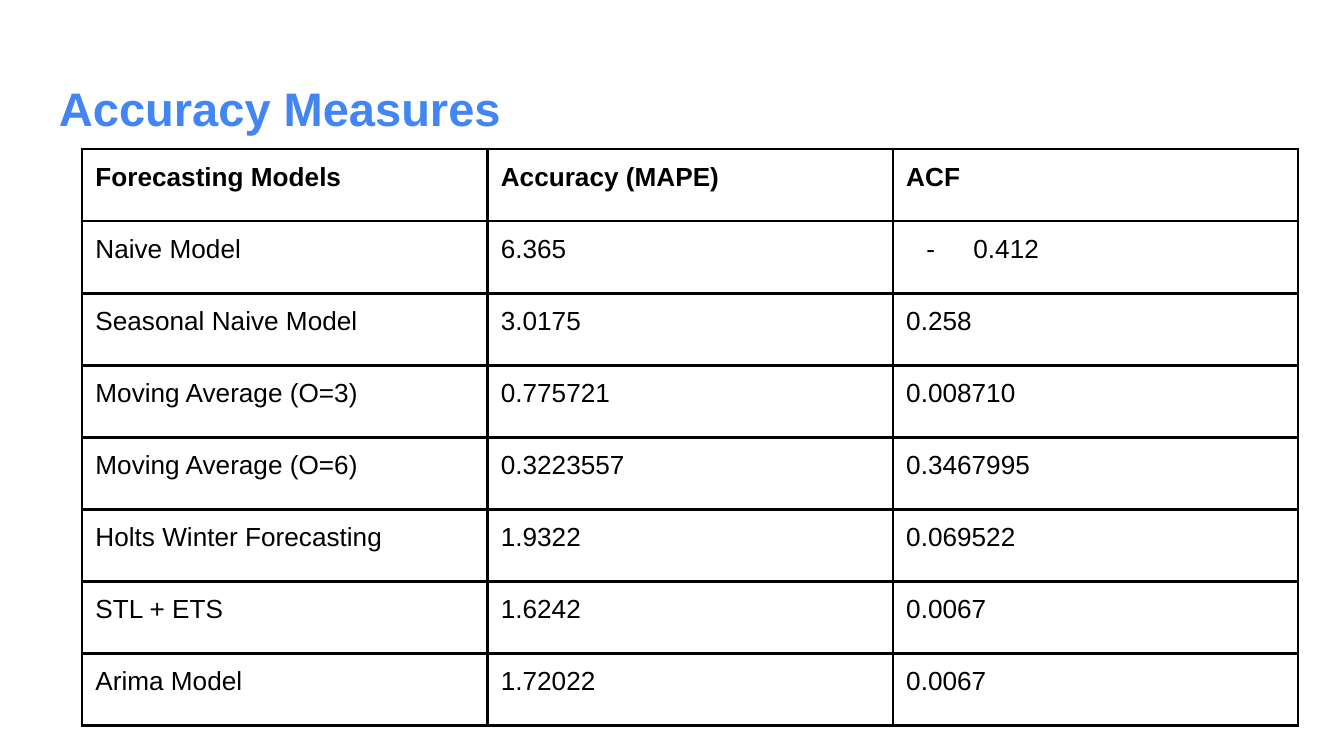
import dataclasses

import pptx
import pptx.dml.color
import pptx.enum.text
import pptx.oxml
import pptx.oxml.ns
import pptx.util

Inches = pptx.util.Inches
COLORS = {"title": "4285F4", "text": "000000", "border": "000000"}
BORDER_WIDTH = 1.5
TITLE_FONT = {"name": "Arial", "size": pptx.util.Pt(25.2), "bold": True}
HEADER_FONT = {"name": "Arial", "size": pptx.util.Pt(14), "bold": True}
BODY_FONT = {**HEADER_FONT, "bold": False}
MARGINS = {f"margin_{side}": Inches(0.1) for side in ("left", "top", "right", "bottom")}


@dataclasses.dataclass
class Measure:
    model: str
    mape: str
    acf: str
    dash: bool = False


HEADER = Measure("Forecasting Models", "Accuracy (MAPE)", "ACF")
MEASURES = [
    Measure("Naive Model", "6.365", "0.412", dash=True),
    Measure("Seasonal Naive Model", "3.0175", "0.258"),
    Measure("Moving Average (O=3)", "0.775721", "0.008710"),
    Measure("Moving Average (O=6)", "0.3223557", "0.3467995"),
    Measure("Holts Winter Forecasting", "1.9322", "0.069522"),
    Measure("STL + ETS", "1.6242", "0.0067"),
    Measure("Arima Model", "1.72022", "0.0067"),
]


def set_attrs(target: object, values: dict) -> None:
    for name, value in values.items():
        setattr(target, name, value)


def write(p, text: str, font: dict, color: str) -> None:
    r = p.add_run()
    r.text = text
    set_attrs(r.font, font)
    r.font.color.rgb = pptx.dml.color.RGBColor.from_string(COLORS[color])


def add_title(s, text: str) -> None:
    sp = s.shapes.add_textbox(Inches(0.34), Inches(0.49), Inches(9.32), Inches(0.63))
    tf = sp.text_frame
    tf.word_wrap = True
    tf.vertical_anchor = pptx.enum.text.MSO_ANCHOR.MIDDLE
    set_attrs(tf, MARGINS)
    write(tf.paragraphs[0], text, TITLE_FONT, "title")


def add_borders(cell) -> None:
    tc_pr = cell._tc.get_or_add_tcPr()
    for side in ("lnL", "lnR", "lnT", "lnB"):
        tc_pr.append(pptx.oxml.parse_xml(
            f'<a:{side} {pptx.oxml.ns.nsdecls("a")} w="{pptx.util.Pt(BORDER_WIDTH)}">'
            f'<a:solidFill><a:srgbClr val="{COLORS["border"]}"/></a:solidFill>'
            f'<a:prstDash val="solid"/></a:{side}>'
        ))


def add_dash(p) -> None:
    p_pr = p._p.get_or_add_pPr()
    p_pr.set("marL", str(Inches(0.5)))
    p_pr.set("indent", str(Inches(-0.35)))
    ns = pptx.oxml.ns.nsdecls("a")
    for xml in (
        f'<a:buClr {ns}><a:srgbClr val="{COLORS["text"]}"/></a:buClr>',
        f'<a:buFont {ns} typeface="{BODY_FONT["name"]}"/>',
        f'<a:buChar {ns} char="-"/>',
    ):
        p_pr.append(pptx.oxml.parse_xml(xml))


def fill_cell(cell, text: str, font: dict, dash: bool) -> None:
    set_attrs(cell, MARGINS)
    add_borders(cell)
    cell.fill.background()
    p = cell.text_frame.paragraphs[0]
    if dash:
        add_dash(p)
    write(p, text, font, "text")


def add_measures(s, measures: list[Measure]) -> None:
    rows = [HEADER, *measures]
    table = s.shapes.add_table(
        len(rows), 3, Inches(0.61), Inches(1.11), Inches(9.05), Inches(4.29)
    ).table
    set_attrs(table, {"first_row": False, "horz_banding": False})
    for i, row in enumerate(rows):
        font = BODY_FONT if i else HEADER_FONT
        for j, text in enumerate((row.model, row.mape, row.acf)):
            fill_cell(table.cell(i, j), text, font, row.dash and j == 2)


def main() -> None:
    prs = pptx.Presentation()
    set_attrs(prs, {"slide_width": Inches(10), "slide_height": Inches(10) * 9 // 16})
    s = prs.slides.add_slide(prs.slide_layouts[6])
    add_title(s, "Accuracy Measures")
    add_measures(s, MEASURES)
    prs.save("out.pptx")


if __name__ == "__main__":
    main()
